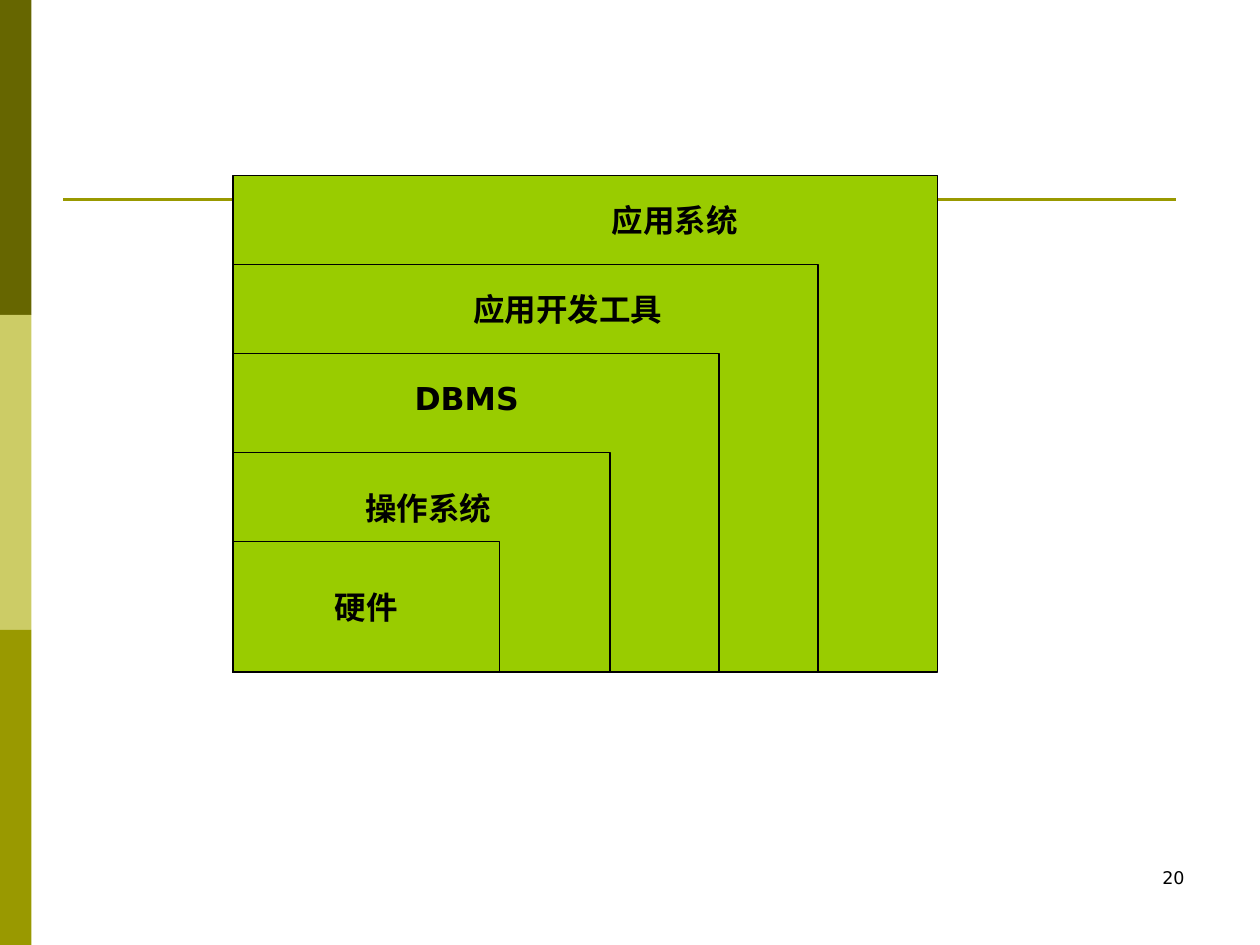
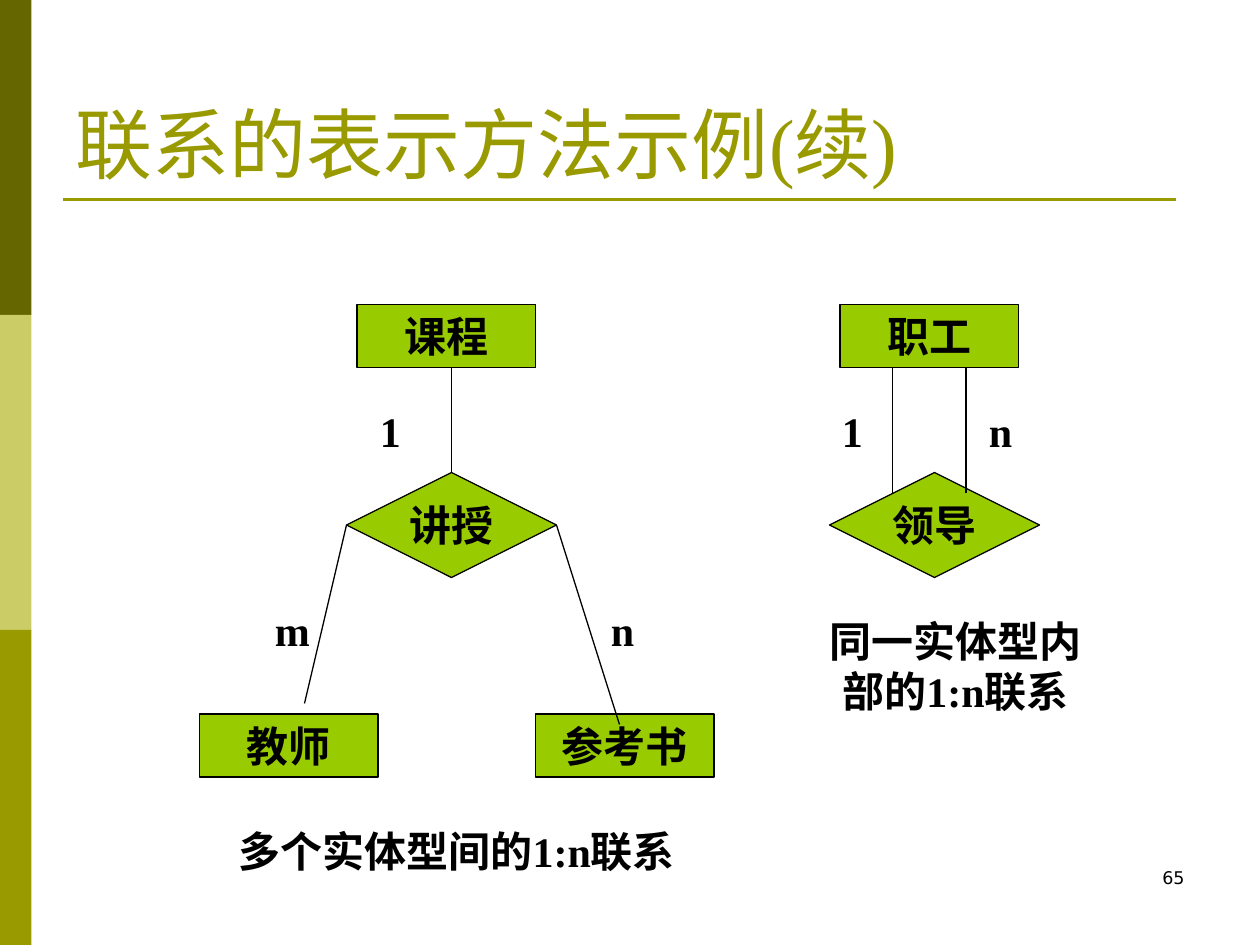
import pptx
import pptx.util
import pptx.dml.color
import pptx.enum.dml
import pptx.enum.lang
import pptx.enum.shapes
import pptx.enum.text
import pptx.oxml.ns
import lxml.etree

# Shared style
COLUMNS, ROWS = 120, 90  # a grid of twelfths of an inch
SANS, SERIF = "DejaVu Sans", "Times New Roman"
BLACK, GREEN, OLIVE = "000000", "99CC00", "999900"
BANDS = ["666600", "CCCC66", OLIVE]
SHAPE = pptx.enum.shapes.MSO_SHAPE
ALIGN = pptx.enum.text.PP_ALIGN
ANCHOR = pptx.enum.text.MSO_ANCHOR
FIT = pptx.enum.text.MSO_AUTO_SIZE
CHINESE = pptx.enum.lang.MSO_LANGUAGE_ID.SIMPLIFIED_CHINESE
TOP, LEFT, RIGHT = 0, 1, 3  # connection sites


def grid(*cells):
    return [pptx.util.Inches(cell / 12) for cell in cells]


def paint(color_holder, color):
    color_holder.solid()
    color_holder.fore_color.rgb = pptx.dml.color.RGBColor.from_string(color)


def write(shape, text, font, size, color=BLACK, bold=True, align=ALIGN.LEFT,
          anchor=ANCHOR.TOP, wrap=True, fit=FIT.NONE):
    frame = shape.text_frame
    frame.word_wrap, frame.auto_size = wrap, fit
    frame.vertical_anchor = anchor
    para = frame.paragraphs[0]
    para.alignment = align
    span = para.add_run()
    span.text = text
    span.font.name, span.font.size, span.font.bold = font, pptx.util.Pt(size), bold
    span.font.language_id = CHINESE
    paint(span.font.fill, color)


def add_block(page, cells, fill=GREEN, outline=BLACK, kind=SHAPE.RECTANGLE):
    block = page.shapes.add_shape(kind, *grid(*cells))
    block.shadow.inherit = False
    paint(block.fill, fill)
    if outline:
        paint(block.line.fill, outline)
        block.line.width = pptx.util.Pt(0.75)
    else:
        block.line.fill.background()
    return block


def add_line(page, start, end, color=BLACK, width=0.75):
    line = page.shapes.add_connector(
        pptx.enum.shapes.MSO_CONNECTOR.STRAIGHT, *grid(*start, *end))
    paint(line.line.fill, color)
    line.line.width = pptx.util.Pt(width)
    lxml.etree.SubElement(line.element.spPr, pptx.oxml.ns.qn("a:effectLst"))
    return line


def add_label(page, cells, text, font, size, **style):
    box = page.shapes.add_textbox(*grid(*cells))
    write(box, text, font, size, **style)


def add_number(page, number):
    add_label(page, (86, 82, 28, 6), number, SANS, 10, bold=False, align=ALIGN.RIGHT)


# Bands and title rule, moved to the master so that every page shows them
def decorate_master(deck, page):
    height = ROWS / len(BANDS)
    parts = [add_block(page, (0, row * height, 3, height), color, None)
             for row, color in enumerate(BANDS)]
    parts.append(add_line(page, (6, 19), (112, 19), OLIVE, 1.5))
    tree = deck.slide_master.shapes.element
    for place, part in enumerate(parts, start=2):
        tree.insert(place, part.element)


def add_title(page, text):
    title = page.shapes.title
    title.left, title.top, title.width, title.height = grid(6, 3.6, 108, 15)
    write(title, text, SERIF, 44, OLIVE, bold=False, anchor=ANCHOR.BOTTOM)


# Elements of the relationship diagrams
def add_entity(page, left, top, text):
    entity = add_block(page, (left, top, 17, 6))
    write(entity, text, SERIF, 24, align=ALIGN.CENTER, fit=FIT.SHAPE_TO_FIT_TEXT)


def add_relation(page, left, top, text):
    relation = add_block(page, (left, top, 20, 10), kind=SHAPE.DIAMOND)
    write(relation, text, SERIF, 24, align=ALIGN.CENTER, anchor=ANCHOR.MIDDLE, wrap=False)
    return relation


def add_cardinality(page, left, top, text):
    add_label(page, (left, top, 5, 6), text, SERIF, 24)


def add_caption(page, cells, text):
    add_label(page, cells, text, SERIF, 24, align=ALIGN.CENTER)


def build_layers(page):
    left, bottom = 22.2, 64
    # top and width of each layer, then left, top and width of its label
    layers = [
        ("应用系统", 16.7, 67.1, 57.1, 18.6, 15.4),
        ("应用开发工具", 25.2, 55.7, 43.9, 27, 25.6),
        ("DBMS", 33.7, 46.3, 38.3, 35.5, 15.4),
        ("操作系统", 43.1, 35.9, 33.6, 46, 15.4),
    ]
    for _, top, width, *_ in layers:
        add_block(page, (left, top, width, bottom - top))
    core = add_block(page, (left, 51.6, 25.4, bottom - 51.6))
    write(core, "硬件", SANS, 18, align=ALIGN.CENTER, anchor=ANCHOR.MIDDLE, wrap=False)
    for text, _, _, label_left, label_top, label_width in layers:
        add_label(page, (label_left, label_top, label_width, 4.8), text, SANS, 18)


def build_relations(page):
    add_title(page, "联系的表示方法示例(续)")

    # Relationship inside one entity type
    add_entity(page, 80, 29, "职工")
    add_relation(page, 79, 45, "领导")
    for column in (85, 92):
        add_line(page, (column, 35), (column, 47))
    add_caption(page, (76, 58, 30, 10.8), "同一实体型内部的1:n联系")

    # Relationship between several entity types
    for left, top, text in [(34, 29, "课程"), (19, 68, "教师"), (51, 68, "参考书")]:
        add_entity(page, left, top, text)
    teaching = add_relation(page, 33, 45, "讲授")
    for site, start, end in [(TOP, (43, 45), (43, 35)),
                             (LEFT, (33, 50), (29, 67)),
                             (RIGHT, (53, 50), (59, 69))]:
        add_line(page, start, end).begin_connect(teaching, site)
    add_caption(page, (19, 78, 49, 6), "多个实体型间的1:n联系")

    for left, top, text in [(79, 38, "1"), (93, 38, "n"), (35, 38, "1"),
                            (25, 57, "m"), (57, 57, "n")]:
        add_cardinality(page, left, top, text)


def main():
    deck = pptx.Presentation()
    deck.slide_width, deck.slide_height = grid(COLUMNS, ROWS)
    title_only, blank = deck.slide_layouts[5], deck.slide_layouts[6]

    layers_page = deck.slides.add_slide(blank)
    decorate_master(deck, layers_page)
    add_number(layers_page, "20")
    build_layers(layers_page)

    relations_page = deck.slides.add_slide(title_only)
    add_number(relations_page, "65")
    build_relations(relations_page)

    deck.save("out.pptx")


if __name__ == "__main__":
    main()
